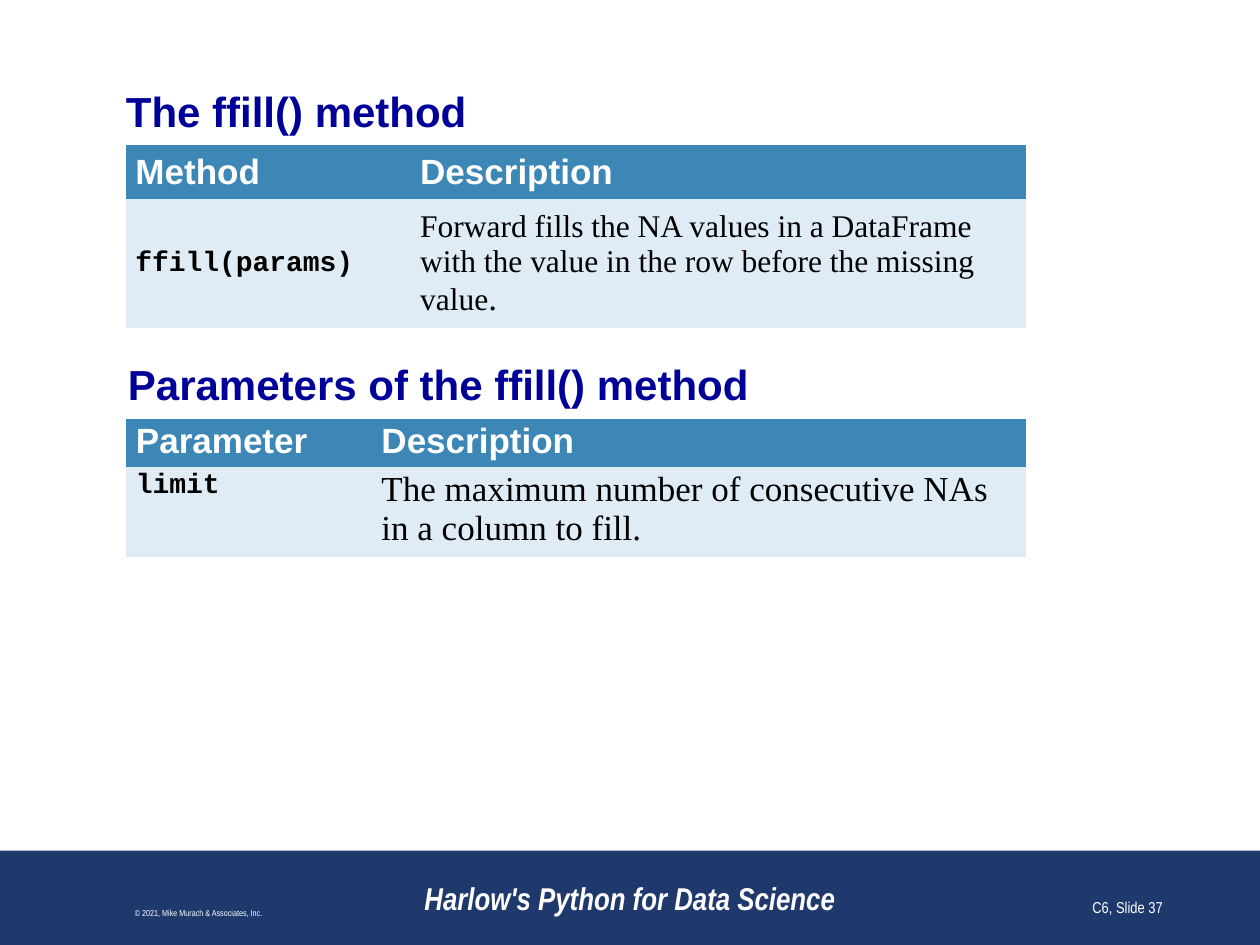
from pptx import Presentation
from pptx import util as u
from pptx.dml.color import RGBColor
from pptx.enum import shapes, text

WHITE, NAVY, HEADING = "FFFFFF", "20396D", "000099"
HEADER_FILL, BODY_FILL, BLACK = "3D87B7", "DFECF5", "000000"


def paint(color, hex_value):
    color.rgb = RGBColor.from_string(hex_value)


def write(paragraph, words, color, **font_format):
    run = paragraph.add_run()
    run.text = words
    for key, value in font_format.items():
        setattr(run.font, key, u.Pt(value) if key == "size" else value)
    paint(run.font.color, color)


deck = Presentation()
deck.slide_width, deck.slide_height = u.Cm(25.4), u.Cm(19.05)
slide = deck.slides.add_slide(deck.slide_layouts[6])

# Footer band
band = slide.shapes.add_shape(shapes.MSO_SHAPE.RECTANGLE, 0, u.Cm(17.15), u.Cm(25.4), u.Cm(1.9))
band.shadow.inherit = False
band.fill.solid()
paint(band.fill.fore_color, NAVY)
band.line.fill.background()

# Headings and footer texts: words, box, inset, anchor, alignment, color, font
heading_font = dict(name="Arial", size=24, bold=True)
middle, top, bottom = text.MSO_ANCHOR.MIDDLE, text.MSO_ANCHOR.TOP, text.MSO_ANCHOR.BOTTOM
left, center, right = text.PP_ALIGN.LEFT, text.PP_ALIGN.CENTER, text.PP_ALIGN.RIGHT
labels = [
    ("The ffill() method", (2.54, 1.73, 20.32, 1.02), 0, middle, left, HEADING, heading_font),
    ("Parameters of the ffill() method", (2.58, 7.22, 20.28, 1.02), 0, middle, left,
     HEADING, heading_font),
    ("Harlow's Python for Data Science", (7.62, 17.35, 10.16, 1.27), 0.13, bottom, center, WHITE,
     dict(name="Arial Narrow", size=18, bold=True, italic=True)),
    ("© 2021, Mike Murach & Associates, Inc.", (0.2, 17.35, 7.62, 1.27), 0.13, bottom, center,
     WHITE, dict(name="Arial Narrow", size=5)),
    ("C6, Slide 37", (18.42, 17.35, 5.28, 1.27), 0.13, bottom, right, WHITE,
     dict(name="Arial Narrow", size=9)),
]
for words, box, inset, anchor, alignment, color, font in labels:
    frame = slide.shapes.add_textbox(*map(u.Cm, box)).text_frame
    margins = dict(margin_top=u.Cm(inset), margin_bottom=u.Cm(inset),
                   margin_left=u.Cm(inset * 2), margin_right=u.Cm(inset * 2))
    for key, value in dict(margins, word_wrap=True, vertical_anchor=anchor).items():
        setattr(frame, key, value)
    frame.paragraphs[0].alignment = alignment
    write(frame.paragraphs[0], words, color, **font)

# Tables: top, column widths, row heights, side and top insets, anchor, rows of runs
header_font = dict(name="Arial", size=20, bold=True)
code_font = dict(name="Courier New", size=16, bold=True)
prose_font = dict(name="Times New Roman", bold=False)
tables = [
    (2.92, (5.74, 12.4), (1.05, 2.44), 0.19, 0.12, middle, [
        [[("Method", header_font)], [("Description", header_font)]],
        [[("ffill(params)", code_font)],
         [("Forward fills the NA values in a DataFrame with the value in the row "
           "before the missing value", dict(prose_font, size=18)),
          (".", dict(prose_font, size=20))]],
    ]),
    (8.45, (4.95, 13.19), (0.93, 1.71), 0.2, 0.06, top, [
        [[("Parameter", header_font)], [("Description", header_font)]],
        [[("limit", code_font)],
         [("The maximum number of consecutive NAs in a column to fill.",
           dict(prose_font, size=20))]],
    ]),
]
for table_top, widths, heights, side, edge, anchor, rows in tables:
    table = slide.shapes.add_table(len(rows), len(widths), u.Cm(2.54), u.Cm(table_top),
                                   u.Cm(sum(widths)), u.Cm(sum(heights))).table
    table.horz_banding = False
    for column, width in zip(table.columns, widths):
        column.width = u.Cm(width)
    for row_index, (row, height) in enumerate(zip(rows, heights)):
        table.rows[row_index].height = u.Cm(height)
        fill, color = (BODY_FILL, BLACK) if row_index else (HEADER_FILL, WHITE)
        for column_index, runs in enumerate(row):
            cell = table.cell(row_index, column_index)
            cell_format = dict(margin_left=u.Cm(side), margin_right=u.Cm(side),
                               margin_top=u.Cm(edge), margin_bottom=u.Cm(edge),
                               vertical_anchor=anchor)
            for key, value in cell_format.items():
                setattr(cell, key, value)
            cell.fill.solid()
            paint(cell.fill.fore_color, fill)
            for words, font in runs:
                write(cell.text_frame.paragraphs[0], words, color, **font)
    # Plain grid without the style's white rules
    table_properties = table._tbl.tblPr
    for style in list(table_properties):
        style.text = "{2D5ABB26-0587-4C30-8999-92F81FD0307C}"

deck.save("out.pptx")
